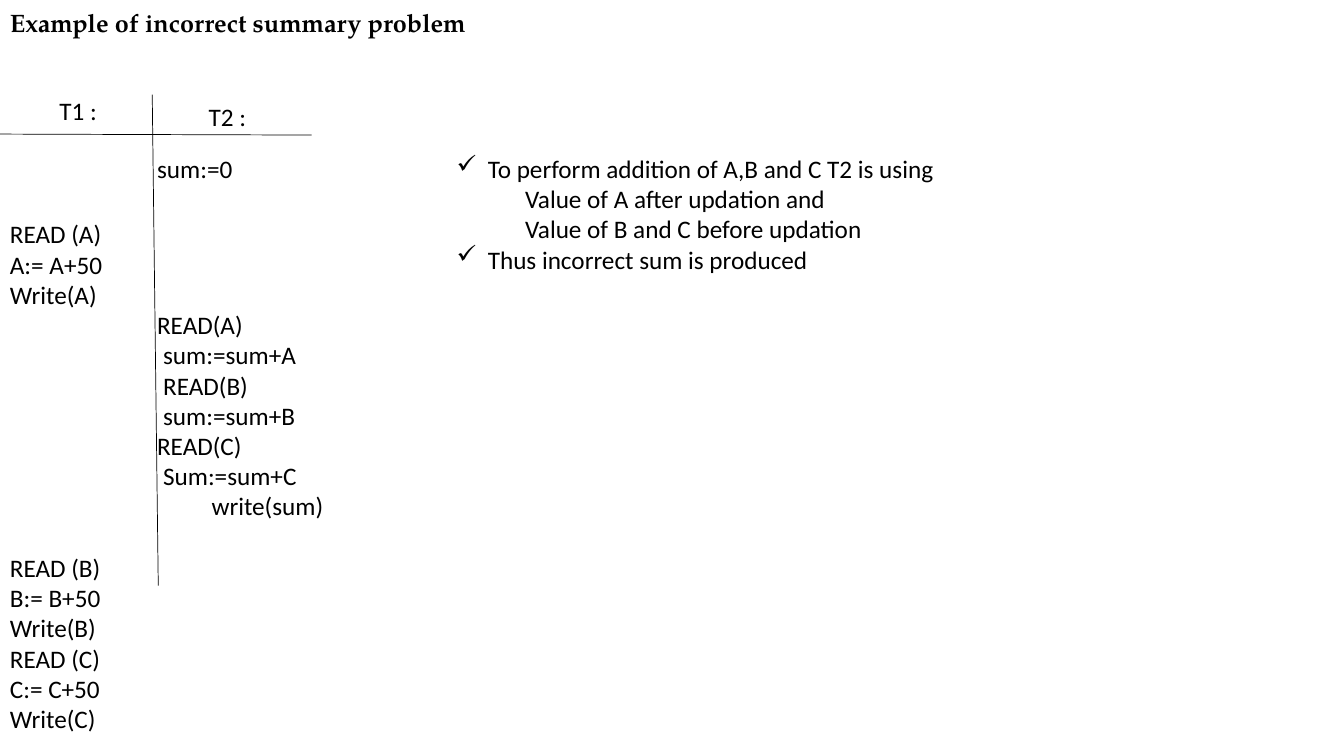
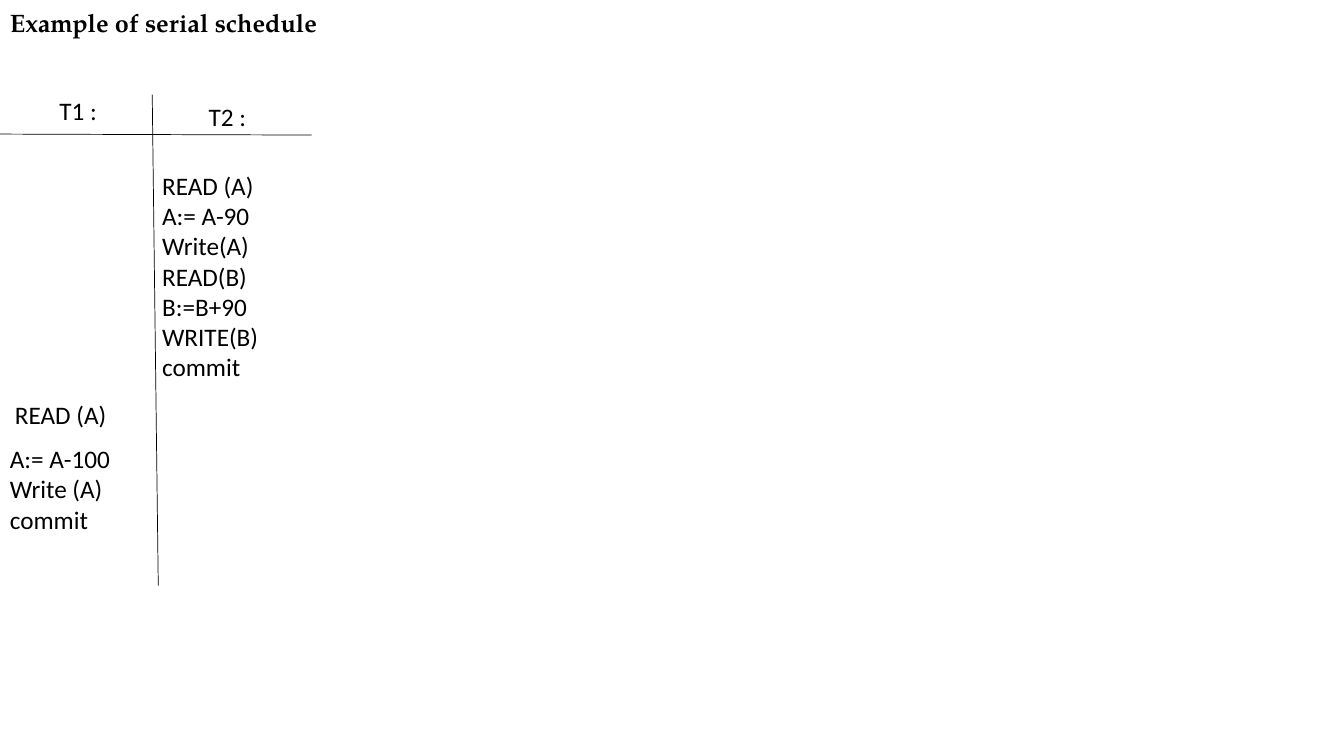
"""Build two slides that compare schedules of the transactions T1 and T2."""
import dataclasses

import pptx
import pptx.dml.color
import pptx.enum.shapes
import pptx.enum.text
import pptx.oxml.ns
import pptx.util
from lxml import etree

Inches = pptx.util.Inches
Pt = pptx.util.Pt


@dataclasses.dataclass(frozen=True)
class Theme:
    ink: pptx.dml.color.RGBColor = pptx.dml.color.RGBColor(0, 0, 0)
    title_font: str = "TeX Gyre Pagella"
    body_font: str = "Calibri"
    size: int = 18
    rule: float = 0.5
    line_height: float = 0.3
    bullet: str = "✓"
    hanging: float = 0.31


THEME = Theme()


def add_text(s, left, top, width, lines, font=THEME.body_font, bold=False, align=None):
    """Add a text box; each line is a string or a (text, indent) pair, where "bullet" marks a bullet."""
    height = 0.1 + THEME.line_height * len(lines)
    sp = s.shapes.add_textbox(Inches(left), Inches(top), Inches(width), Inches(height))
    tf = sp.text_frame
    tf.word_wrap = True
    for i, line in enumerate(lines):
        text, indent = (line, 0) if isinstance(line, str) else line
        p = tf.paragraphs[0] if i == 0 else tf.add_paragraph()
        p.text = text
        p.alignment = align
        pPr = p._p.get_or_add_pPr()
        if indent == "bullet":
            pPr.set("marL", str(Inches(THEME.hanging)))
            pPr.set("indent", str(-Inches(THEME.hanging)))
            etree.SubElement(pPr, pptx.oxml.ns.qn("a:buChar")).set("char", THEME.bullet)
        elif indent:
            pPr.set("marL", str(Inches(indent)))
        r = p.runs[0]
        r.font.name = font
        r.font.size = Pt(THEME.size)
        r.font.bold = bold
        r.font.color.rgb = THEME.ink


def add_schedule_slide(prs, title):
    """Add a slide with its title, the two column heads and the rules between them."""
    s = prs.slides.add_slide(prs.slide_layouts[6])
    add_text(s, 0, 0.02, 6.79, [title], font=THEME.title_font, bold=True)
    for head, left, top in (("T1 :", 0.02, 0.9), ("T2 :", 1.5, 0.96)):
        add_text(s, left, top, 1.51, [head], align=pptx.enum.text.PP_ALIGN.CENTER)
    for ends in ((1.51, 0.94, 1.57, 5.81), (-0.05, 1.33, 3.09, 1.34)):
        line = s.shapes.add_connector(
            pptx.enum.shapes.MSO_CONNECTOR.STRAIGHT, *[Inches(v) for v in ends])
        line.line.color.rgb = THEME.ink
        line.line.width = Pt(THEME.rule)
        etree.SubElement(line._element.spPr, pptx.oxml.ns.qn("a:effectLst"))
    return s


prs = pptx.Presentation()
prs.slide_width = Inches(13.33)
prs.slide_height = Inches(7.5)

schedules = [
    ("Example of incorrect summary problem", [
        (1.46, 1.47, 2.43, ["sum:=0"]),
        (0, 2.12, 1.5, ["READ (A)", "A:= A+50", "Write(A)"]),
        (1.46, 3.02, 2.43, [
            "READ(A)", ("sum:=sum+A", 0.06), ("READ(B)", 0.06), ("sum:=sum+B", 0.06),
            "READ(C)", ("Sum:=sum+C", 0.06), ("write(sum)", 0.54)]),
        (0, 5.43, 1.5, ["READ (B)", "B:= B+50", "Write(B)", "READ (C)", "C:= C+50", "Write(C)"]),
        (4.43, 1.47, 8.3, [
            ("To perform addition of A,B and C T2 is using", "bullet"),
            ("Value of A after updation and", 0.68),
            ("Value of B and C before updation", 0.68),
            ("Thus incorrect sum is produced", "bullet")]),
    ]),
    ("Example of serial schedule", [
        (1.51, 1.64, 2.43, [
            "READ (A)", "A:= A-90", "Write(A)", "READ(B)", "B:=B+90", "WRITE(B)", "commit"]),
        (0.05, 3.91, 1.5, ["READ (A)"]),
        (0, 4.35, 1.5, ["A:= A-100", "Write (A)", "commit"]),
    ]),
]

for title, blocks in schedules:
    s = add_schedule_slide(prs, title)
    for left, top, width, lines in blocks:
        add_text(s, left, top, width, lines)

prs.save("out.pptx")
